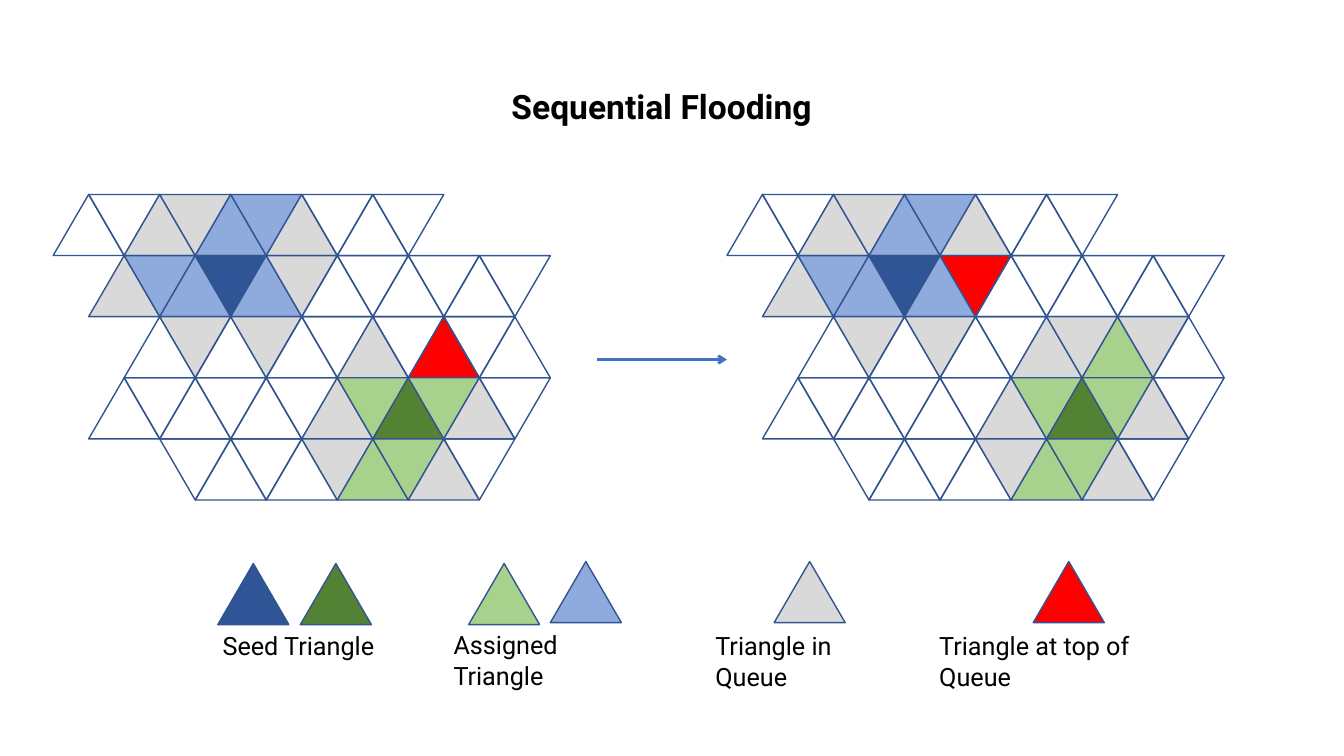
from lxml import etree
from pptx import Presentation
from pptx import util as u
from pptx.dml import color
from pptx.enum import shapes as kinds, text
from pptx.oxml import ns

FILLS = {"S": "2F5597", "b": "8FAADC", "G": "548235", "g": "A9D18E",
         "q": "D9D9D9", "t": "FF0000"}
WIDE, HIGH = 1.79, 1.54


def rgb(code):
    """Turn a hex string into a colour."""
    return color.RGBColor.from_string(code)


def draw(parent, left, top, key, up=True):
    """Add one triangle, filled by its key; a dot means no fill."""
    tri = parent.add_shape(kinds.MSO_SHAPE.ISOSCELES_TRIANGLE, u.Cm(left),
                           u.Cm(top), u.Cm(WIDE), u.Cm(HIGH))
    tri.rotation = 0 if up else 180
    tri.shadow.inherit = False
    tri.line.color.rgb = rgb("325491")
    tri.line.width = u.Pt(1)
    if key in FILLS:
        tri.fill.solid()
        tri.fill.fore_color.rgb = rgb(FILLS[key])
    else:
        tri.fill.background()


deck = Presentation()
deck.slide_width, deck.slide_height = u.Cm(33.87), u.Cm(19.05)
slide = deck.slides.add_slide(deck.slide_layouts[6])

# Each letter is one triangle, half a width apart; a space leaves a gap.
before = ["..qqbbq...",
          " qbbSbq......",
          "  .q.q..q.t..",
          " ......qgGgq.",
          "   ....qggq."]
after = before.copy()
after[1] = " qbbSbt......"
after[2] = "  .q.q..qqgq."

for left, mesh in [(1.34, before), (18.32, after)]:
    group = slide.shapes.add_group_shape()
    for row, line in enumerate(mesh):
        for col, key in enumerate(line):
            if key != " ":
                draw(group.shapes, left + col * WIDE / 2, 4.9 + row * HIGH,
                     key, (row + col) % 2 == 0)

# Legend
for left, top, key in [(5.49, 14.2, "S"), (7.57, 14.2, "G"),
                       (11.81, 14.2, "g"), (13.87, 14.15, "b"),
                       (19.51, 14.15, "q"), (26.04, 14.15, "t")]:
    draw(slide.shapes, left, top, key)

# Title and legend labels
label = {"name": "Roboto", "size": u.Pt(18), "bold": False}
title = {"name": "Roboto", "size": u.Pt(24), "bold": True}
left_al, mid = text.PP_ALIGN.LEFT, text.PP_ALIGN.CENTER
for words, left, top, width, height, font, align in [
        ("Sequential Flooding", 11.76, 2.03, 9.83, 1.28, title, mid),
        ("Seed Triangle", 5.36, 15.77, 4.47, 1.03, label, left_al),
        ("Assigned Triangle", 11.18, 15.74, 5.33, 1.03, label, left_al),
        ("Triangle in Queue", 17.78, 15.77, 5.33, 1.03, label, left_al),
        ("Triangle at top of Queue", 23.42, 15.77, 7.24, 1.03, label, left_al)]:
    box = slide.shapes.add_textbox(u.Cm(left), u.Cm(top), u.Cm(width),
                                   u.Cm(height))
    frame = box.text_frame
    frame.word_wrap = True
    frame.auto_size = text.MSO_AUTO_SIZE.SHAPE_TO_FIT_TEXT
    para = frame.paragraphs[0]
    para.alignment = align
    run = para.add_run()
    run.text = words
    for name, value in font.items():
        setattr(run.font, name, value)
    run.font.color.rgb = rgb("000000")

# Arrow from the first mesh to the second
arrow = slide.shapes.add_connector(kinds.MSO_CONNECTOR.STRAIGHT, u.Cm(15.05),
                                   u.Cm(9.06), u.Cm(18.32), u.Cm(9.06))
arrow.line.color.rgb = rgb("4472C4")
arrow.line.width = u.Pt(2)
etree.SubElement(arrow.line._get_or_add_ln(), ns.qn("a:tailEnd"), type="arrow")
etree.SubElement(arrow._element.spPr, ns.qn("a:effectLst"))

deck.save("out.pptx")
